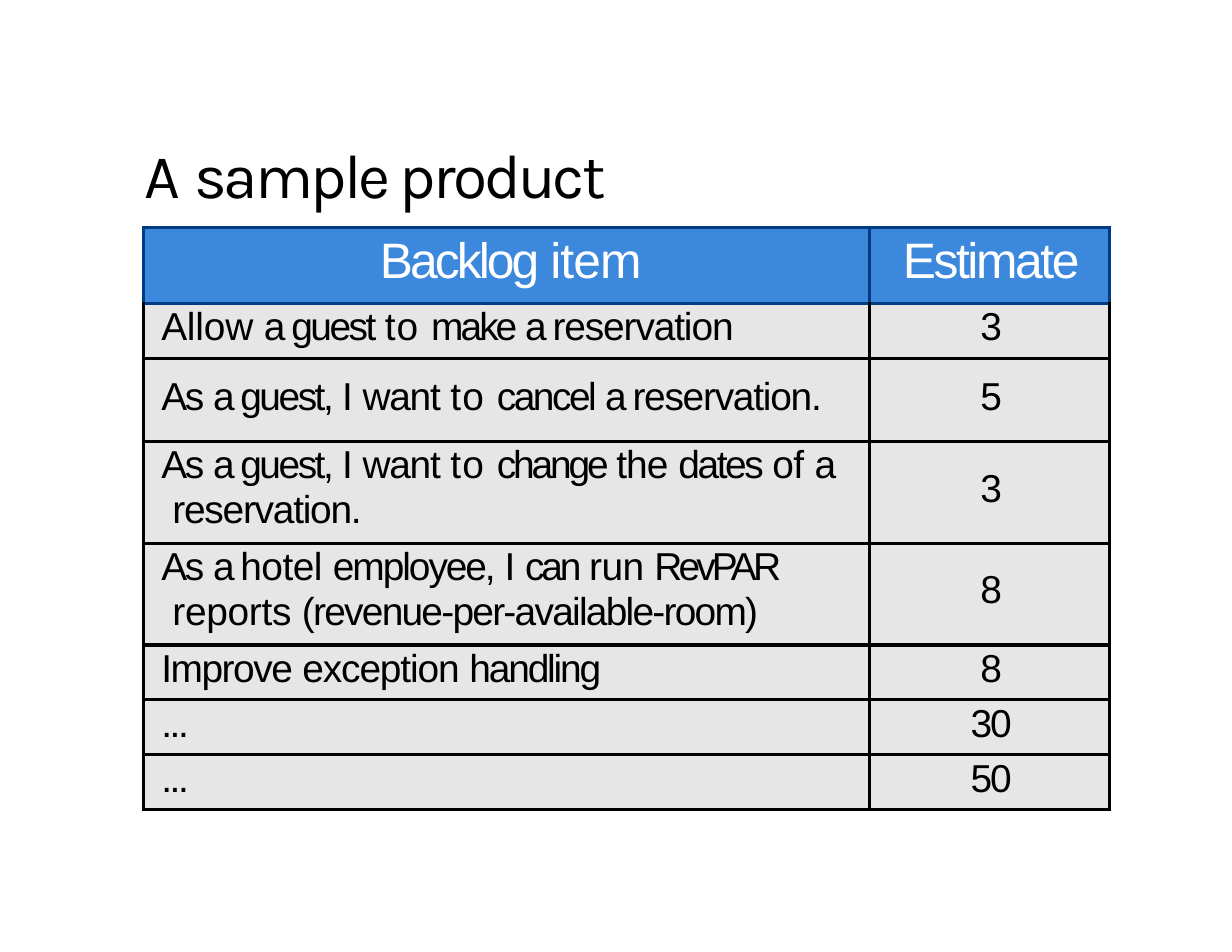
from pptx import Presentation
from pptx.dml.color import RGBColor as RGB
from pptx.enum.text import MSO_ANCHOR as Anchor, PP_ALIGN as Align
from pptx.oxml.ns import qn
from pptx.util import Inches, Pt
from lxml.etree import SubElement

THEME = {
    "title_font": "Karla", "body_font": "Arial",
    "title_size": 40, "header_size": 32, "body_size": 25,
    "ink": "000000", "header_ink": "FFFFFF",
    "header_fill": "3C88DC", "body_fill": "E6E6E6",
    "header_line": "003C83", "body_line": "000000", "line_width": 2.25,
}

TITLE = [("A ", -0.5), ("sample product", -1.8)]
HEADER = ([("Backlog ", -1.9), ("item", -0.6)], [("Estimate", -1.6)])
GUEST_WANTS = [("As ", -1.4), ("a ", -3.2), ("guest, ", -1.6), ("I ", -0.7),
               ("want ", -0.8), ("to ", 0.7)]
MORE = [("...", -1.5)]

ROWS = [
    {"height": 0.49, "tops": (0.02, 0.02), "estimate": [("3", 0)],
     "item": [("Allow ", -0.1), ("a ", -3.2), ("guest ", -1.6), ("to ", 0.7),
              ("make ", -1.9), ("a ", -3.2), ("reservation", -0.7)]},
    {"height": 0.74, "tops": (0.15, 0.15), "estimate": [("5", 0)],
     "item": GUEST_WANTS + [("cancel ", -1.6), ("a ", -3.2), ("reservation.", -0.8)]},
    {"height": 0.91, "tops": (0.01, 0.23), "estimate": [("3", 0)], "spacing": 1.03,
     "item": GUEST_WANTS + [("change ", -2), ("the ", -0.6), ("dates ", -1.5),
                            ("of ", -0.3), ("a ", -3.2), ("reservation.", -0.8)]},
    {"height": 0.91, "tops": (0.01, 0.23), "estimate": [("8", 0)], "spacing": 1.03,
     "item": [("As ", -1.4), ("a ", -3.2), ("hotel ", -0.3), ("employee, ", -1.3),
              ("I ", -0.7), ("can ", -2), ("run ", -0.3), ("RevPAR ", -2.5),
              ("reports ", -0.2), ("(revenue-per-available-room)", -1.1)]},
    {"height": 0.49, "tops": (0.02, 0.02), "estimate": [("8", 0)],
     "item": [("Improve ", -0.9), ("exception ", -0.7), ("handling", -1.4)]},
    {"height": 0.49, "tops": (0.02, 0.02), "estimate": [("30", -1.3)], "item": MORE},
    {"height": 0.49, "tops": (0.02, 0.02), "estimate": [("50", -1.3)], "item": MORE},
]

LEFT, TABLE_TOP = 1.28, 2.03
COLUMNS = (6.48, 2.15)
HEADER_HEIGHT = 0.68


def write(frame, words, font, size, color, align=Align.LEFT, margin=0, indent=0, spacing=None):
    paragraph = frame.paragraphs[0]
    paragraph.alignment = align
    paragraph.line_spacing = spacing
    properties = paragraph._p.get_or_add_pPr()
    properties.set("marL", str(Inches(margin)))
    properties.set("indent", str(Inches(indent)))
    paragraph.font.name = font
    paragraph.font.size = Pt(size)
    paragraph.font.color.rgb = RGB.from_string(color)
    for text, tracking in words:
        run = paragraph.add_run()
        run.text = text
        run._r.get_or_add_rPr().set("spc", str(round(tracking * 100)))


def set_margins(box, top):
    box.margin_left = box.margin_right = box.margin_bottom = 0
    box.margin_top = Inches(top)


def style_cell(cell, top, fill, line, top_line):
    set_margins(cell, top)
    cell.vertical_anchor = Anchor.TOP
    properties = cell._tc.get_or_add_tcPr()
    for side, color in (("L", line), ("R", line), ("T", top_line), ("B", line)):
        border = SubElement(properties, qn(f"a:ln{side}"), w=str(Pt(THEME["line_width"])))
        SubElement(SubElement(border, qn("a:solidFill")), qn("a:srgbClr"), val=color)
    cell.fill.solid()
    cell.fill.fore_color.rgb = RGB.from_string(fill)


def add_title(slide):
    title = slide.shapes.add_textbox(Inches(LEFT), Inches(1.21), Inches(5.82), Inches(0.69))
    frame = title.text_frame
    frame.word_wrap = True
    set_margins(frame, 0.01)
    write(frame, TITLE, THEME["title_font"], THEME["title_size"], THEME["ink"], margin=0.01)


def add_backlog(slide):
    heights = [HEADER_HEIGHT] + [row["height"] for row in ROWS]
    table = slide.shapes.add_table(
        len(heights), len(COLUMNS), Inches(LEFT), Inches(TABLE_TOP),
        Inches(sum(COLUMNS)), Inches(sum(heights))).table
    table.first_row = table.horz_banding = False
    for column, width in zip(table.columns, COLUMNS):
        column.width = Inches(width)
    for row, height in zip(table.rows, heights):
        row.height = Inches(height)

    font, header_line, body_line = THEME["body_font"], THEME["header_line"], THEME["body_line"]
    for cell, words, margin in zip(table.rows[0].cells, HEADER, (0.08, 0.03)):
        style_cell(cell, 0.05, THEME["header_fill"], header_line, header_line)
        write(cell.text_frame, words, font, THEME["header_size"], THEME["header_ink"],
              Align.CENTER, margin)

    for number, row in enumerate(ROWS, 1):
        item, estimate = table.rows[number].cells
        top_line = header_line if number == 1 else body_line
        for cell, top in zip((item, estimate), row["tops"]):
            style_cell(cell, top, THEME["body_fill"], body_line, top_line)
        write(item.text_frame, row["item"], font, THEME["body_size"], THEME["ink"],
              margin=0.26, indent=-0.1, spacing=row.get("spacing"))
        write(estimate.text_frame, row["estimate"], font, THEME["body_size"], THEME["ink"],
              Align.CENTER, 0.03)


def main():
    presentation = Presentation()
    presentation.slide_width, presentation.slide_height = Inches(11), Inches(8.5)
    slide = presentation.slides.add_slide(presentation.slide_layouts[6])
    add_title(slide)
    add_backlog(slide)
    presentation.save("out.pptx")


if __name__ == "__main__":
    main()
